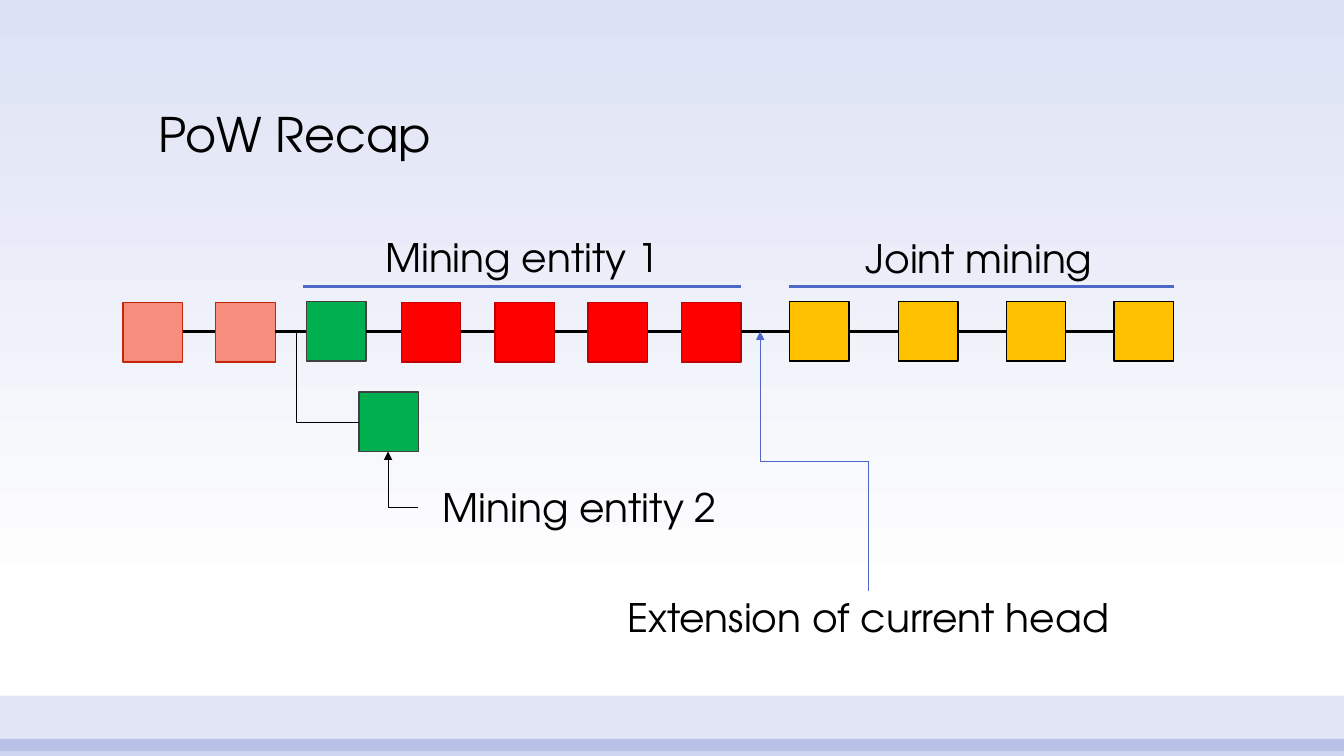
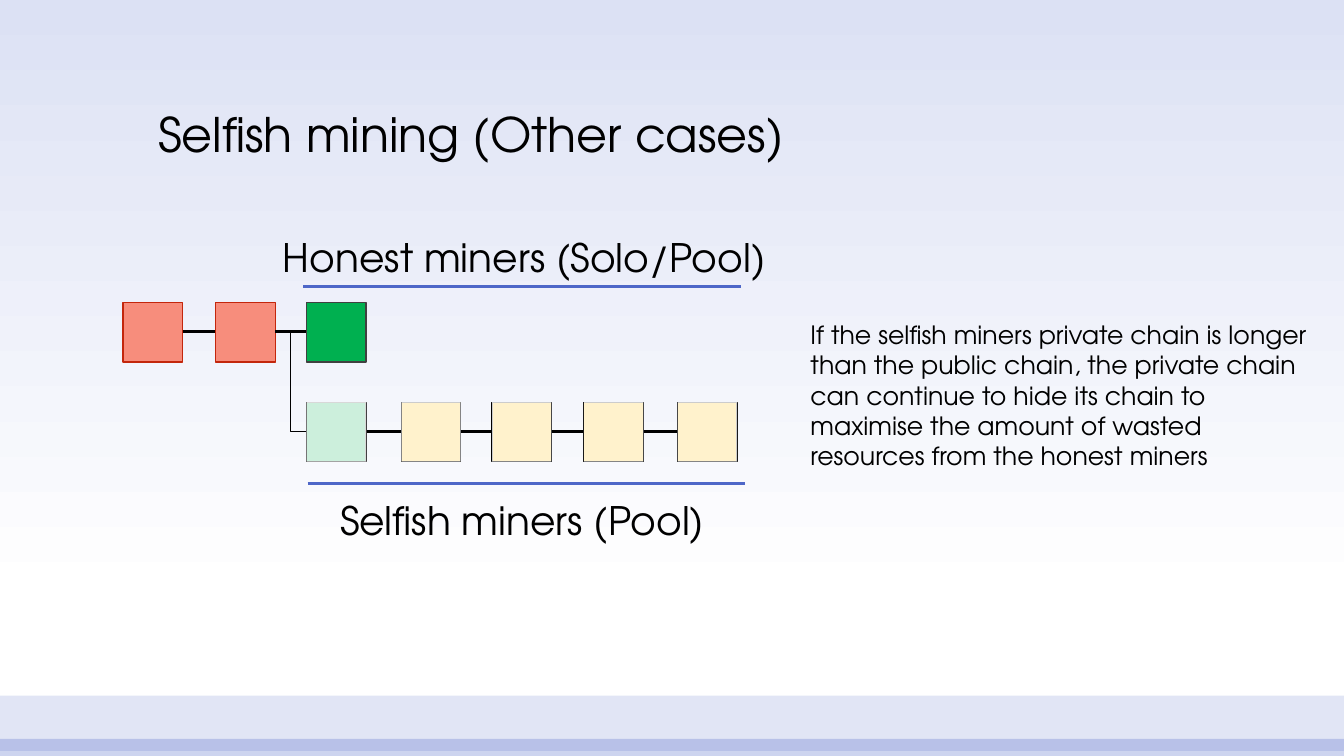
from dataclasses import dataclass

from lxml.etree import SubElement
from pptx import Presentation
from pptx.dml.color import RGBColor as RGB
from pptx.enum.shapes import MSO_CONNECTOR as LINK, MSO_SHAPE as SHAPE
from pptx.enum.text import MSO_ANCHOR as ANCHOR, PP_ALIGN as ALIGN
from pptx.oxml.ns import qn
from pptx.util import Inches, Pt


@dataclass(frozen=True)
class Theme:
    font: str = "TeX Gyre Adventor"
    title: int = 34
    label: int = 28
    note: int = 18
    thick: float = 2.5
    rule: float = 2
    thin: float = 0.5
    edge: float = 1
    ink: str = "000000"
    blue: str = "4E67C8"
    sky: str = "DCE1F4"
    white: str = "FFFFFF"
    # Block styles: fill, outline
    past: tuple = ("F78D7C", "C3260C")
    green: tuple = ("00B050", "404040")
    red: tuple = ("FF0000", "C00000")
    gold: tuple = ("FFC000", "000000")


SIDE = 0.59        # block side
TOP = 3            # top of the main chain
MID = 3.29         # centre line of the main chain
LOW = 0.99         # drop to the private chain
PAST = (1.22, 2.14)
FORK = 3.04        # first block after the fork
REDS = (3.98, 4.91, 5.83, 6.76)
GOLDS = (7.83, 8.91, 9.98, 11.05)
POOL = (3.98, 4.88, 5.79, 6.72)


class Deck:
    def __init__(self, theme):
        self.theme = theme
        self.prs = Presentation()
        self.prs.slide_width = Inches(13.33)
        self.prs.slide_height = Inches(7.5)
        # Shared backdrop
        fill = self.prs.slide_master.background.fill
        fill.gradient()
        fill.gradient_angle = 270
        stops = ((0, theme.sky), (0.79, theme.white))
        for stop, (pos, color) in zip(fill.gradient_stops, stops):
            stop.position = pos
            stop.color.rgb = RGB.from_string(color)

    def page(self, title):
        """Start a slide with its bands and title."""
        self.slide = self.prs.slides.add_slide(self.prs.slide_layouts[5])
        self.rect(0, 6.9, 13.33, 0.55, self.theme.blue, alpha=17)
        self.rect(0, 7.33, 13.33, 0.17, self.theme.blue, alpha=28)
        head = self.slide.shapes.title
        head.left, head.top = Inches(1.47), Inches(0.48)
        head.width, head.height = Inches(10.4), Inches(1.19)
        self.letter(head, title, self.theme.title, ALIGN.LEFT, ANCHOR.BOTTOM)
        head.text_frame.paragraphs[0].line_spacing = 0.9

    def letter(self, shape, text, size, align, anchor=ANCHOR.TOP):
        frame = shape.text_frame
        frame.text = text
        frame.word_wrap = True
        frame.vertical_anchor = anchor
        para = frame.paragraphs[0]
        para.alignment = align
        font = para.runs[0].font
        font.name, font.size = self.theme.font, Pt(size)
        font.color.rgb = RGB.from_string(self.theme.ink)

    def text(self, x, y, w, h, text, size, align):
        box = self.slide.shapes.add_textbox(
            Inches(x), Inches(y), Inches(w), Inches(h))
        self.letter(box, text, size, align)

    def label(self, x, y, w, text):
        self.text(x, y, w, 0.57, text, self.theme.label, ALIGN.CENTER)

    def rect(self, x, y, w, h, fill, edge=None, alpha=None):
        shape = self.slide.shapes.add_shape(
            SHAPE.RECTANGLE, Inches(x), Inches(y), Inches(w), Inches(h))
        shape.shadow.inherit = False
        shape.fill.solid()
        shape.fill.fore_color.rgb = RGB.from_string(fill)
        if alpha:
            color = shape.element.find(".//" + qn("a:srgbClr"))
            SubElement(color, qn("a:alpha"), val=str(alpha * 1000))
        if edge:
            shape.line.color.rgb = RGB.from_string(edge)
            shape.line.width = Pt(self.theme.edge)
        else:
            shape.line.fill.background()

    def blocks(self, lefts, top, style):
        for left in lefts:
            self.rect(left, top, SIDE, SIDE, *style)

    def veil(self, lefts, top):
        for left in lefts:
            self.rect(left, top, SIDE, SIDE, self.theme.white, alpha=80)

    def link(self, start, end, color, width, kind=LINK.STRAIGHT, arrow=False):
        line = self.slide.shapes.add_connector(
            kind, *(Inches(v) for v in (*start, *end)))
        line.line.color.rgb = RGB.from_string(color)
        line.line.width = Pt(width)
        props = line.element.find(qn("p:spPr"))
        if arrow:
            SubElement(props.find(qn("a:ln")), qn("a:tailEnd"), type="triangle")
        SubElement(props, qn("a:effectLst"))
        return props

    def chain(self, x1, x2, y=MID):
        self.link((x1, y), (x2, y), self.theme.ink, self.theme.thick)

    def rule(self, x1, x2, y):
        self.link((x1, y), (x2, y), self.theme.blue, self.theme.rule)

    def branch(self, start, end, bend=0.5):
        """Step across, down and across; bend is the share before the drop."""
        props = self.link(start, end, self.theme.ink, self.theme.thin, LINK.ELBOW)
        guides = props.find(qn("a:prstGeom")).find(qn("a:avLst"))
        SubElement(guides, qn("a:gd"), name="adj1",
                   fmla=f"val {round(bend * 100000)}")

    def corner(self, start, end):
        """Arrow with a single bend."""
        props = self.link(start, end, self.theme.ink, self.theme.thin,
                          LINK.ELBOW, True)
        props.find(qn("a:prstGeom")).set("prst", "bentConnector2")

    def riser(self, start, end):
        """Arrow that runs up, left and up: a flat elbow turned by 270°."""
        (x1, y1), (x2, y2) = start, end
        midx, midy = (x1 + x2) / 2, (y1 + y2) / 2
        run, rise = (y1 - y2) / 2, (x1 - x2) / 2
        props = self.link((midx - run, midy + rise), (midx + run, midy - rise),
                          self.theme.blue, self.theme.thin, LINK.ELBOW, True)
        props.find(qn("a:xfrm")).set("rot", str(270 * 60000))

    def past(self):
        """Common history up to the fork."""
        self.chain(PAST[0] + SIDE, PAST[1])
        self.blocks(PAST, TOP, self.theme.past)
        self.chain(PAST[1] + SIDE, FORK)
        self.rule(3.01, 7.35, 2.84)


def recap(deck):
    look = deck.theme
    deck.page("PoW Recap")
    # Main chain
    deck.past()
    deck.blocks([FORK], 2.99, look.green)
    deck.chain(FORK + SIDE, REDS[-1])
    deck.blocks(REDS, TOP, look.red)
    deck.chain(REDS[-1] + SIDE, GOLDS[-1])
    deck.blocks(GOLDS, 2.99, look.gold)
    deck.rule(GOLDS[0], GOLDS[-1] + SIDE, 2.84)
    # Side block
    deck.blocks([3.56], 3.89, look.green)
    deck.branch((2.73, MID), (3.56, 4.19), 0.25)
    deck.corner((4.15, 5.03), (3.85, 4.48))
    # Labels
    deck.label(3.01, 2.27, 4.34, "Mining entity 1")
    deck.label(7.54, 2.28, 4.34, "Joint mining")
    deck.label(4.15, 4.75, 3.2, "Mining entity 2")
    deck.riser((8.61, 5.86), (7.54, MID))
    deck.label(5.32, 5.84, 6.58, "Extension of current head")


def selfish(deck):
    look = deck.theme
    deck.page("Selfish mining (Other cases)")
    # Public chain
    deck.past()
    deck.blocks([FORK], TOP, look.green)
    # Private chain, faded
    deck.branch((2.73, MID), (FORK, MID + LOW))
    deck.chain(FORK + SIDE, POOL[-1], MID + LOW)
    deck.blocks([FORK], TOP + LOW, look.green)
    deck.blocks(POOL, TOP + LOW, look.gold)
    deck.veil((FORK, *POOL), TOP + LOW)
    deck.rule(3.05, 7.39, 4.8)
    # Labels and note
    deck.label(2.55, 2.27, 5.3, "Honest miners (Solo/Pool)")
    deck.label(3.01, 4.87, 4.34, "Selfish miners (Pool)")
    deck.text(7.94, 3.12, 5.24, 1.62,
              "If the selfish miners private chain is longer than the public "
              "chain, the private chain can continue to hide its chain to "
              "maximise the amount of wasted resources from the honest miners",
              look.note, ALIGN.LEFT)


def main():
    deck = Deck(Theme())
    recap(deck)
    selfish(deck)
    deck.prs.save("out.pptx")


if __name__ == "__main__":
    main()
